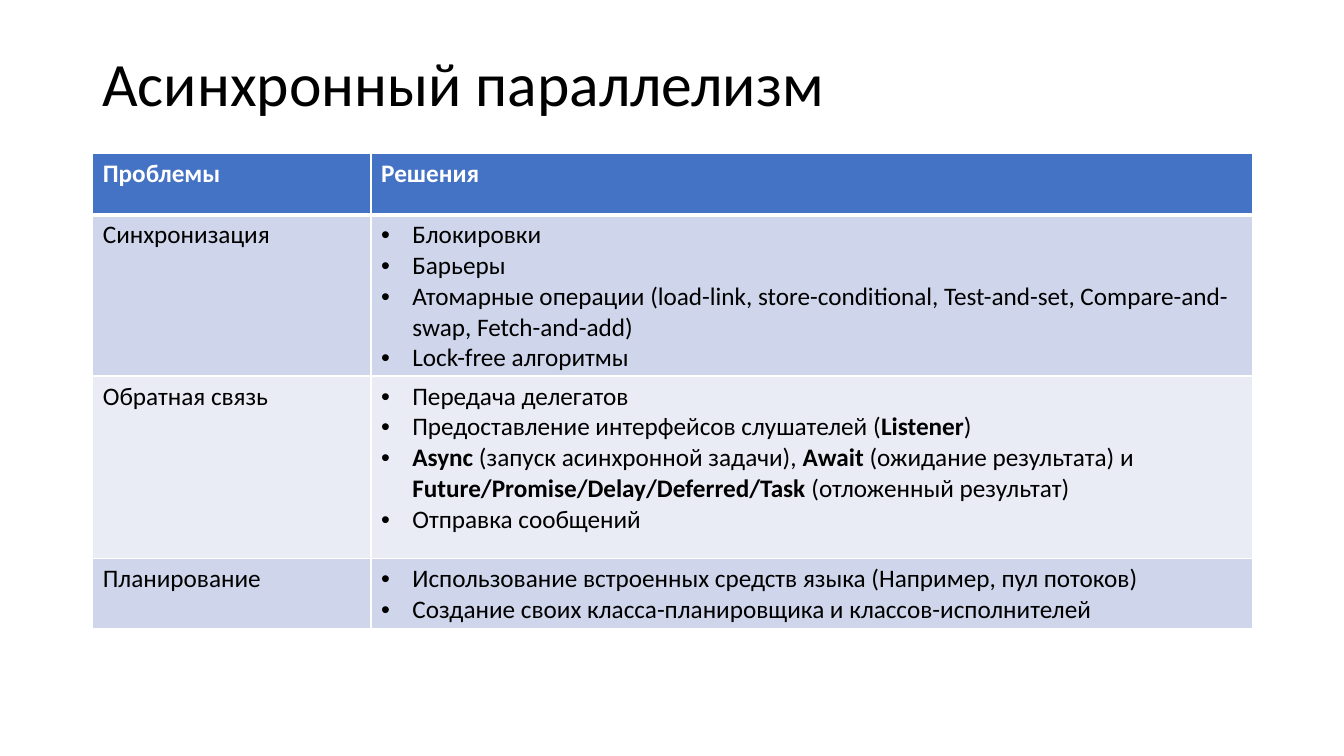
from lxml import etree
from pptx import Presentation
from pptx import util as u
from pptx.dml.color import RGBColor
from pptx.enum import text
from pptx.oxml import ns


def paint(target, color):
    if hasattr(target, "solid"):
        target.solid()
        target.fore_color.rgb = RGBColor.from_string(color)
    else:
        target.color.rgb = RGBColor.from_string(color)


def add_border(cell, side, points):
    line = etree.SubElement(cell._tc.get_or_add_tcPr(), ns.qn(f"a:ln{side}"), w=str(u.Pt(points)))
    fill = etree.SubElement(line, ns.qn("a:solidFill"))
    etree.SubElement(fill, ns.qn("a:srgbClr"), val="FFFFFF")


rows = [
    ("Проблемы", ["Решения"], 0.61, "4472C4"),
    ("Синхронизация", [
        "Блокировки",
        "Барьеры",
        "Атомарные операции (load-link, store-conditional, Test-and-set, Compare-and-swap, Fetch-and-add)",
        "Lock-free алгоритмы",
    ], 1.51, "CFD5EA"),
    ("Обратная связь", [
        "Передача делегатов",
        "Предоставление интерфейсов слушателей (*Listener*)",
        "*Async* (запуск асинхронной задачи), *Await* (ожидание результата) и "
        "*Future/Promise/Delay/Deferred/Task* (отложенный результат)",
        "Отправка сообщений",
    ], 1.81, "E9EBF5"),
    ("Планирование", [
        "Использование встроенных средств языка (Например, пул потоков)",
        "Создание своих класса-планировщика и классов-исполнителей",
    ], 0.61, "CFD5EA"),
]

deck = Presentation()
deck.slide_width = u.Inches(13.33)
deck.slide_height = u.Inches(7.5)
slide = deck.slides.add_slide(deck.slide_layouts[6])

heading = slide.shapes.add_textbox(u.Inches(0.92), u.Inches(0.4), u.Inches(11.5), u.Inches(0.91)).text_frame
heading.word_wrap = True
heading.vertical_anchor = text.MSO_ANCHOR.MIDDLE
heading.text = "Асинхронный параллелизм"
heading.paragraphs[0].line_spacing = 0.9
heading_font = heading.paragraphs[0].runs[0].font
heading_font.name = "Calibri"
heading_font.size = u.Pt(44)
paint(heading_font, "000000")

solutions_table = slide.shapes.add_table(
    len(rows), 2, u.Inches(0.92), u.Inches(1.52), u.Inches(11.5), u.Inches(4.54)).table
solutions_table.columns[0].width = u.Inches(2.76)
solutions_table.columns[1].width = u.Inches(8.74)

for row_no, (problem, solutions, height, row_color) in enumerate(rows):
    solutions_table.rows[row_no].height = u.Inches(height)
    is_header = row_no == 0
    for col_no, lines in enumerate([[problem], solutions]):
        cell = solutions_table.cell(row_no, col_no)
        for side in "LRTB":
            under_header = (row_no, side) in [(0, "B"), (1, "T")]
            add_border(cell, side, 3 if under_header else 1)
        paint(cell.fill, row_color)
        cell.text_frame.text = "\n".join(line.replace("*", "") for line in lines)
        for paragraph, line in zip(cell.text_frame.paragraphs, lines):
            if "*" in line:
                paragraph.text = ""
                for part_no, part in enumerate(line.split("*")):
                    if part:
                        run = paragraph.add_run()
                        run.text = part
                        run.font.bold = part_no % 2 == 1
            for run in paragraph.runs:
                run.font.name = "Calibri"
                run.font.size = u.Pt(18)
                run.font.bold = is_header or bool(run.font.bold)
                paint(run.font, "FFFFFF" if is_header else "000000")
            if col_no == 1 and not is_header:
                bulleted = paragraph._p.get_or_add_pPr()
                bulleted.set("marL", str(u.Inches(0.31)))
                bulleted.set("indent", str(-u.Inches(0.31)))
                etree.SubElement(bulleted, ns.qn("a:buFont"), typeface="Arial")
                etree.SubElement(bulleted, ns.qn("a:buChar"), char="•")

deck.save("out.pptx")
